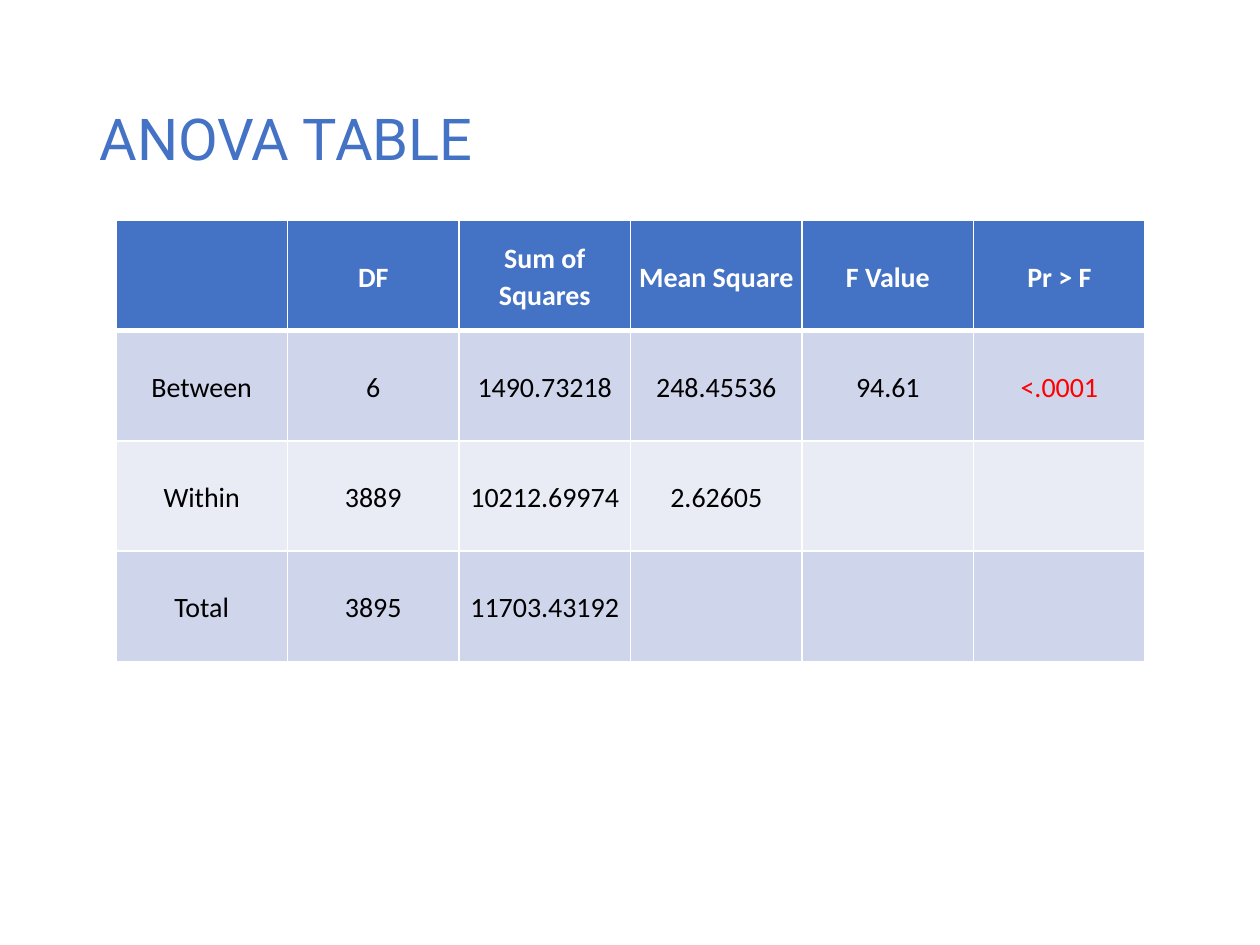
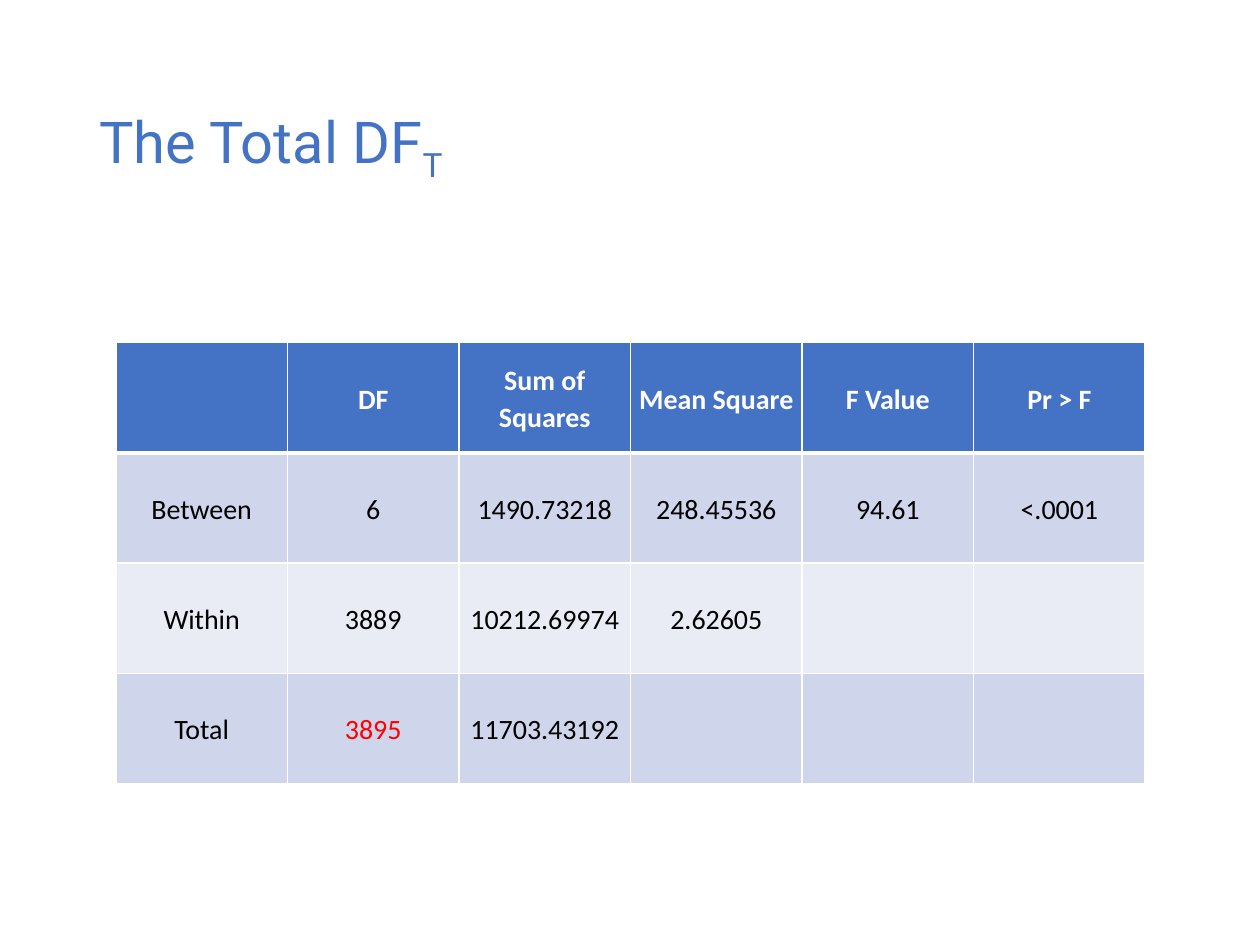
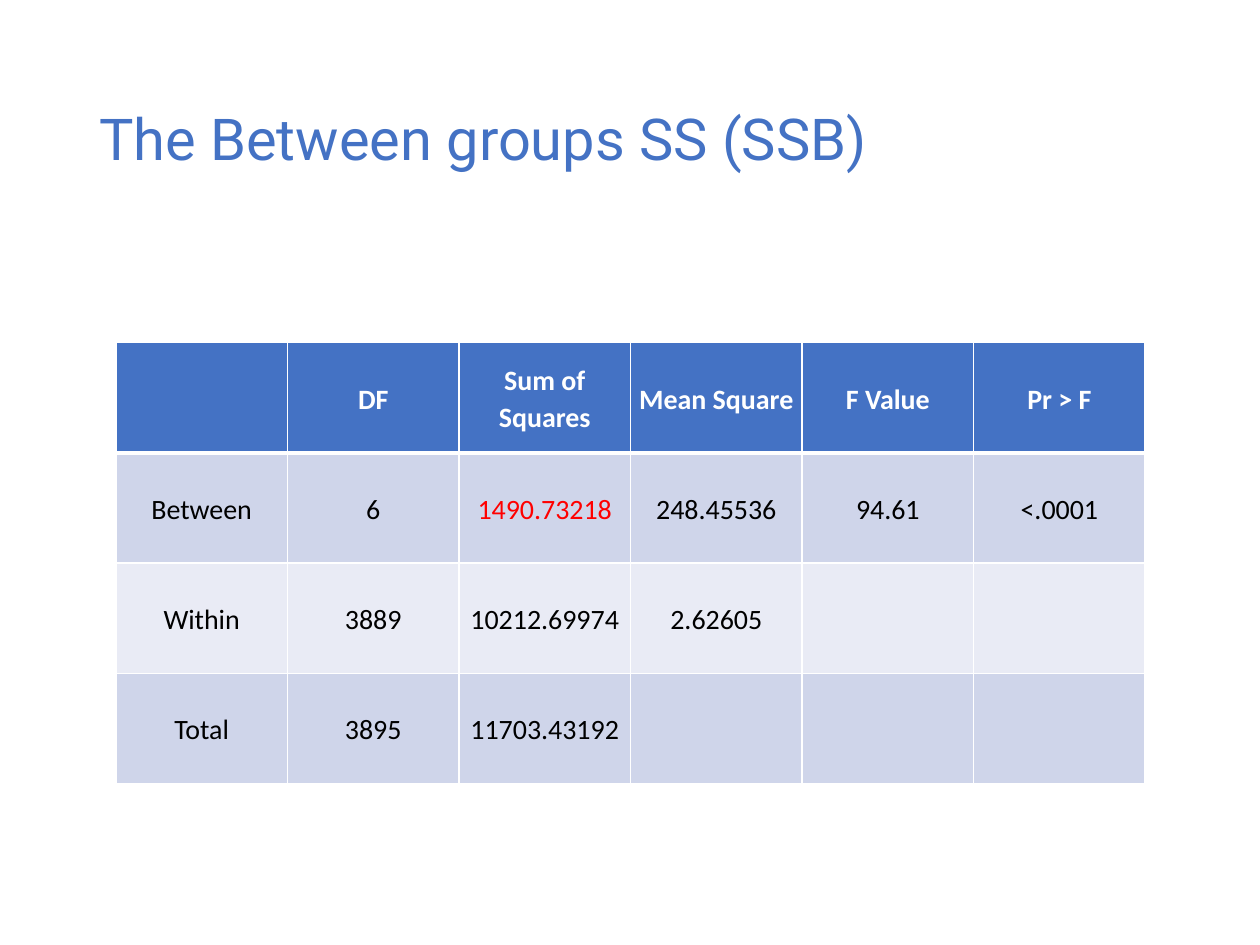
"""Builds three slides that read an ANOVA table, one marked value at a time."""
from lxml.etree import SubElement as Sub
from pptx import Presentation
from pptx.dml.color import RGBColor as Rgb
from pptx.enum.text import MSO_ANCHOR as Anchor, PP_ALIGN as Align
from pptx.oxml.ns import qn
from pptx.util import Inches, Pt

HUES = {"blue": "4472C4", "band": "CFD5EA", "pale": "E9EBF5",
        "white": "FFFFFF", "black": "000000", "red": "FF0000"}
ROWS = [
    ["", "DF", "Sum of Squares", "Mean Square", "F Value", "Pr > F"],
    ["Between", "6", "1490.73218", "248.45536", "94.61", "<.0001"],
    ["Within", "3889", "10212.69974", "2.62605", "", ""],
    ["Total", "3895", "11703.43192", "", "", ""],
]
FILLS = ["blue", "band", "pale", "band"]
SLIDES = [
    ([("ANOVA TABLE", False)], 1.75, "<.0001"),
    ([("The Total DF", False), ("T", True)], 2.72, "3895"),
    ([("The Between groups SS (SSB)", False)], 2.72, "1490.73218"),
]
LEFT, WIDE, TALL = 0.92, 8.17, 3.5


def write(para, text, face, size, hue, bold=False):
    run = para.add_run()
    run.text = text
    font = run.font
    font.name, font.size, font.bold = face, Pt(size), bold
    font.color.rgb = Rgb.from_string(HUES[hue])
    return run


def edge(cell, side, width):
    line = Sub(cell._tc.get_or_add_tcPr(), qn(f"a:ln{side}"), w=str(Pt(width)))
    Sub(Sub(line, qn("a:solidFill")), qn("a:srgbClr"), val=HUES["white"])


deck = Presentation()
deck.slide_width, deck.slide_height = Inches(10), Inches(7.5)

for title, top, mark in SLIDES:
    slide = deck.slides.add_slide(deck.slide_layouts[6])

    box = slide.shapes.add_textbox(Inches(0.69), Inches(0.4), Inches(8.62), Inches(1.45))
    frame = box.text_frame
    frame.word_wrap = True
    frame.vertical_anchor = Anchor.MIDDLE
    para = frame.paragraphs[0]
    para.line_spacing = 0.9
    for text, low in title:
        run = write(para, text, "Roboto", 33, "blue")
        if low:
            run.font._element.set("baseline", "-25000")

    grid = slide.shapes.add_table(len(ROWS), len(ROWS[0]), Inches(LEFT), Inches(top),
                                  Inches(WIDE), Inches(TALL)).table
    for r, row in enumerate(ROWS):
        for c, text in enumerate(row):
            cell = grid.cell(r, c)
            for side in "LRTB":
                thick = (r, side) in [(0, "B"), (1, "T")]
                edge(cell, side, 3 if thick else 1)
            cell.fill.solid()
            cell.fill.fore_color.rgb = Rgb.from_string(HUES[FILLS[r]])
            if not text:
                continue
            cell.vertical_anchor = Anchor.MIDDLE
            cell.margin_left = cell.margin_right = cell.margin_top = Inches(0.01)
            cell.margin_bottom = 0
            para = cell.text_frame.paragraphs[0]
            para.alignment, para.line_spacing = Align.CENTER, 1.07
            hue = "white" if r == 0 else "red" if text == mark else "black"
            write(para, text, "Calibri", 16, hue, bold=r == 0)

deck.save("out.pptx")
